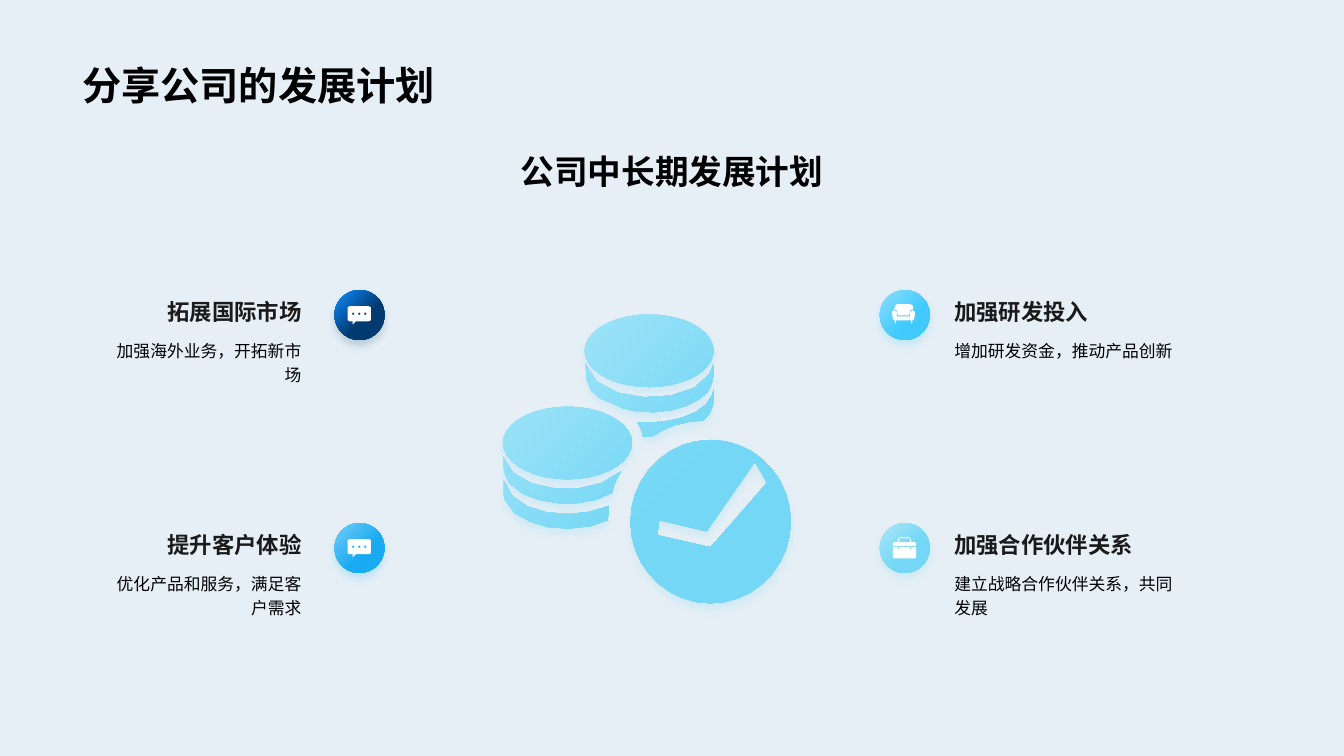
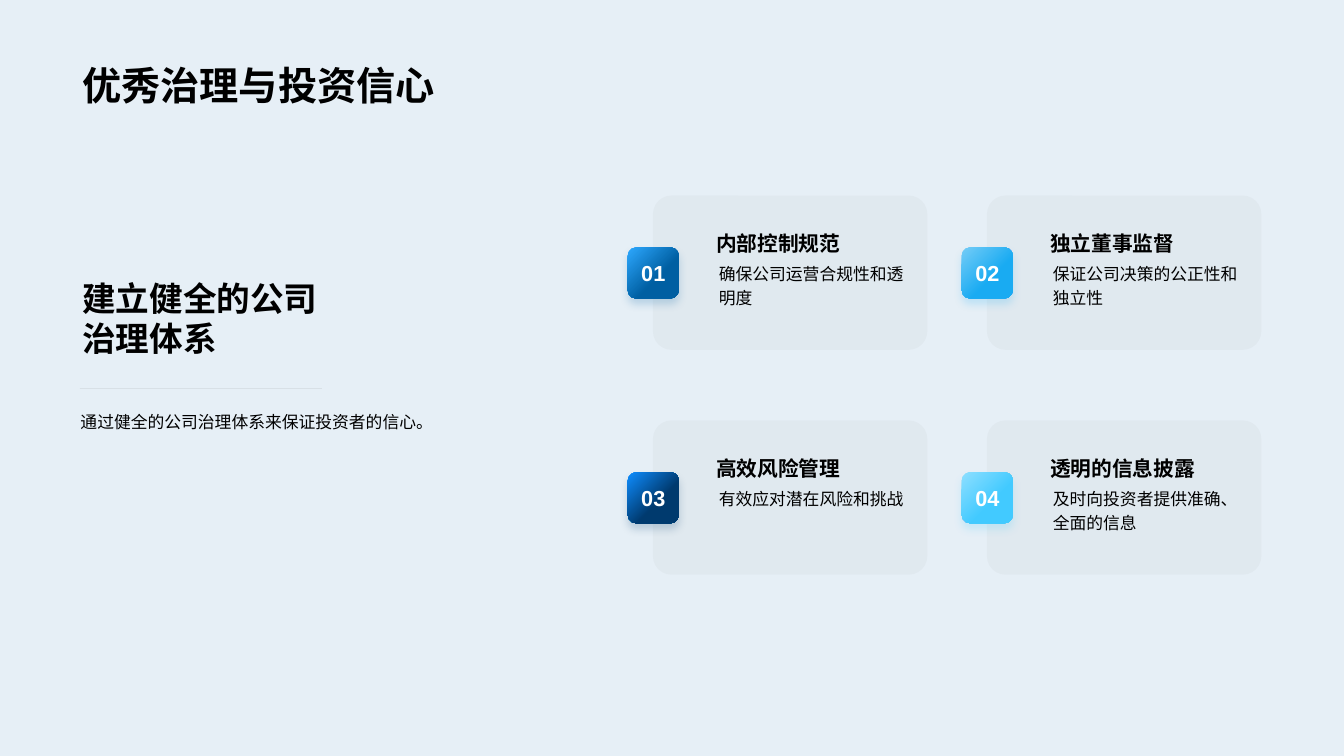
from lxml import etree
from math import cos, pi, sin
from pptx import Presentation
from pptx.dml.color import RGBColor
from pptx.enum.shapes import MSO_CONNECTOR, MSO_SHAPE
from pptx.enum.text import MSO_ANCHOR, PP_ALIGN
from pptx.oxml.ns import qn
from pptx.util import Pt

LEFT, CENTER, RIGHT = PP_ALIGN.LEFT, PP_ALIGN.CENTER, PP_ALIGN.RIGHT
MIDDLE, BOTTOM, TOP = MSO_ANCHOR.MIDDLE, MSO_ANCHOR.BOTTOM, MSO_ANCHOR.TOP
OVAL, ROUNDED = MSO_SHAPE.OVAL, MSO_SHAPE.ROUNDED_RECTANGLE
STRAIGHT = MSO_CONNECTOR.STRAIGHT

PALE = RGBColor(0xE6, 0xEF, 0xF6)
BLACK = RGBColor(0x00, 0x00, 0x00)
CHARCOAL = RGBColor(0x1A, 0x1A, 0x1A)
GRAY = RGBColor(0x80, 0x80, 0x80)
WHITE = RGBColor(0xFF, 0xFF, 0xFF)
BLUE = RGBColor(0x2E, 0xA9, 0xFF), RGBColor(0x00, 0x5F, 0xA2)
SKY = RGBColor(0x75, 0xCD, 0xF7), RGBColor(0x19, 0xAB, 0xF2)
NAVY = RGBColor(0x0F, 0x8E, 0xFF), RGBColor(0x00, 0x3A, 0x6E)
CYAN = RGBColor(0x8E, 0xDF, 0xFF), RGBColor(0x42, 0xCA, 0xFF)
AQUA = RGBColor(0xAB, 0xE7, 0xF9), RGBColor(0x73, 0xD7, 0xF5)

TITLE = {"size": Pt(28), "bold": True, "color": BLACK}
HEADLINE = {**TITLE, "size": Pt(24)}
POINT_LABEL = {"size": Pt(16), "bold": True, "color": CHARCOAL}
CARD_LABEL = {"size": Pt(14.8), "bold": True, "color": BLACK}
BADGE = {"size": Pt(15.5), "bold": True, "color": WHITE}
BODY = {"size": Pt(12), "bold": False, "color": BLACK}

GRID = 0.72

BUBBLE = [
    [(34, 16), (36, 17), (36, 30), (34, 31), (21, 31), (18, 34), (18, 31),
     (15, 31), (13, 30), (13, 17), (15, 16)],
    [(18.5, 23.5, 1.3, 1.3)],
    [(24.5, 23.5, 1.3, 1.3)],
    [(30.5, 23.5, 1.3, 1.3)],
]
SOFA = [
    [(33, 20), (35, 22), (34, 29), (33, 30), (32, 30), (32, 33), (31, 33),
     (31, 30), (16, 30), (16, 33), (15, 33), (15, 30), (14, 30), (13, 29),
     (12, 22), (12, 21, 13, 20, 14, 20), (15, 20, 16, 21, 17, 22), (17, 26),
     (30, 26), (30, 22), (31, 21, 32, 20, 33, 20)],
    [(30, 14), (32, 14, 33, 15, 33, 17), (33, 19), (31, 19, 30, 20, 30, 21),
     (29, 25), (18, 25), (17, 21), (17, 20, 16, 19, 14, 19), (15, 17),
     (15, 15, 16, 14, 17, 14)],
]
BRIEFCASE = [
    [(18, 24), (18, 26), (19, 26), (19, 24), (30, 24), (30, 26), (31, 26),
     (31, 24), (36, 24), (36, 34), (35, 35), (14, 35), (13, 34), (13, 24)],
    [(29, 14), (31, 16), (31, 19), (35, 19), (36, 20), (36, 23), (13, 23),
     (13, 20), (14, 19), (18, 19), (18, 16), (20, 14)],
    [(29, 15), (20, 15), (19, 16), (19, 19), (30, 19), (30, 16)],
]
COINS = [
    [(644, 348, 64, 36)],
    [(595, 395), (607, 400), (618, 405),
     (631, 410, 651, 410, 666, 407), (681, 404, 695, 397, 702, 389),
     (707, 382, 709, 372, 708, 361), (704, 371),
     (685, 404, 591, 403, 581, 361), (580, 378, 585, 390, 595, 395)],
    [(632, 419), (635, 423, 637, 427, 638, 433), (648, 435, 652, 430, 657, 427),
     (669, 421, 681, 418, 698, 417), (706, 411, 710, 400, 708, 386),
     (707, 391), (699, 413, 662, 421, 632, 419)],
    [(563, 439.5, 64, 36)],
    [(614, 469), (587, 494, 510, 491, 499, 453), (499, 465, 501, 474, 506, 480),
     (525, 502, 580, 506, 607, 489), (609, 481, 612, 474, 616, 468)],
    [(705, 517.5, 79.5, 81)],
    [(705, 543), (652, 531), (654, 516), (701, 527), (749, 458), (761, 479)],
    [(500, 477), (500, 483, 499, 491, 501, 496), (506, 511, 526, 519, 544, 523),
     (564, 526, 588, 524, 603, 516), (604, 502), (570, 517, 509, 512, 500, 477)],
]


def write(page, area, text, style, anchor=TOP, align=LEFT, spacing=1.0, box=None):
    box = box or page.shapes.add_textbox(*map(Pt, area))
    frame = box.text_frame
    frame.word_wrap = True
    frame.vertical_anchor = anchor
    para = frame.paragraphs[0]
    para.alignment = align
    para.line_spacing = spacing
    span = para.add_run()
    span.text = text
    span.font.name = "Arial"
    for name, value in style.items():
        if name == "color":
            span.font.color.rgb = value
        else:
            setattr(span.font, name, value)


def outline(page, left, top, contours):
    builder = None
    for contour in contours:
        points = []
        for step in contour:
            if len(step) == 2:
                points.append(step)
            elif len(step) == 4:
                cx, cy, rx, ry = step
                count = 36 if rx > 10 else 6
                angles = [2 * pi * i / count for i in range(count)]
                points += [(cx + rx * cos(a), cy + ry * sin(a)) for a in angles]
            else:
                controls = [points[-1], step[:2], step[2:4], step[4:]]
                reach = max(abs(step[4] - points[-1][0]), abs(step[5] - points[-1][1]))
                count = 6 if reach > 60 else 3 if reach > 12 else 2
                for i in range(1, count + 1):
                    t = i / count
                    weights = ((1 - t) ** 3, 3 * t * (1 - t) ** 2, 3 * t * t * (1 - t), t ** 3)
                    points.append(tuple(
                        sum(w * c[axis] for w, c in zip(weights, controls)) for axis in (0, 1)))
        points = [(Pt(left + x * GRID), Pt(top + y * GRID)) for x, y in points]
        if builder is None:
            builder = page.shapes.build_freeform(*points[0])
        else:
            builder.move_to(*points[0])
        builder.add_line_segments(points[1:], close=True)
    shape = builder.convert_to_shape()
    shape.shadow.inherit = False
    shape.line.fill.background()
    return shape


deck = Presentation()
deck.slide_width, deck.slide_height = Pt(960), Pt(540)
background = deck.slide_master.background.fill
background.solid()
background.fore_color.rgb = PALE

pages = []
for title in ("分享公司的发展计划", "优秀治理与投资信心"):
    page = deck.slides.add_slide(deck.slide_layouts[6])
    write(page, (51.8, 0, 855.4, 80.6), title, TITLE, BOTTOM)
    pages.append(page)
plan, governance = pages
glowing = []
faded = []

write(plan, (115.2, 95.8, 729.4, 44.6), "公司中长期发展计划", HEADLINE, BOTTOM, CENTER)
glowing.append((outline(plan, 0, 0, COINS), AQUA))

COLUMNS = [(239, 68.4, 154, RIGHT), (628.5, 674.6, 178, LEFT)]
ROWS = [207.2, 373.6]
POINTS = [
    ("拓展国际市场", "加强海外业务，开拓新市场", NAVY, BUBBLE),
    ("加强研发投入", "增加研发资金，推动产品创新", CYAN, SOFA),
    ("提升客户体验", "优化产品和服务，满足客户需求", SKY, BUBBLE),
    ("加强合作伙伴关系", "建立战略合作伙伴关系，共同发展", AQUA, BRIEFCASE),
]
for index, (label, body, theme, icon) in enumerate(POINTS):
    top = ROWS[index // 2]
    disc_left, text_left, width, align = COLUMNS[index % 2]
    disc = plan.shapes.add_shape(OVAL, Pt(disc_left), Pt(top), Pt(35.6), Pt(35.6))
    glowing.append((disc, theme))
    drawing = outline(plan, disc_left, top, icon)
    drawing.fill.solid()
    drawing.fill.fore_color.rgb = WHITE
    write(plan, (text_left, top, width, 28.8), label, POINT_LABEL, BOTTOM, align)
    write(plan, (text_left, top + 29.5, width, 41), body, BODY, TOP, align, 1.2)

CARDS = [
    ("内部控制规范", "确保公司运营合规性和透明度", BLUE),
    ("独立董事监督", "保证公司决策的公正性和独立性", SKY),
    ("高效风险管理", "有效应对潜在风险和挑战", NAVY),
    ("透明的信息披露", "及时向投资者提供准确、全面的信息", CYAN),
]
for index, (label, body, theme) in enumerate(CARDS):
    left = 466.4 + index % 2 * 238.6
    top = 139.7 + index // 2 * 160.6
    card = governance.shapes.add_shape(ROUNDED, Pt(left), Pt(top), Pt(196), Pt(110.2))
    card.adjustments[0] = 0.12
    card.shadow.inherit = False
    card.fill.solid()
    card.fill.fore_color.rgb = GRAY
    card.line.fill.background()
    faded.append((card, 5))
    write(governance, (left + 38.2, top + 22.3, 155.5, 24.5), label, CARD_LABEL, BOTTOM, spacing=0.9)
    write(governance, (left + 40, top + 42.5, 155.5, 40.3), body, BODY, spacing=1.2)
    badge = governance.shapes.add_shape(ROUNDED, Pt(left - 18), Pt(top + 37), Pt(36.5), Pt(36.5))
    glowing.append((badge, theme))
    write(governance, None, f"{index + 1:02}", BADGE, MIDDLE, CENTER, box=badge)

write(governance, (51.8, 194.4, 205.9, 65.5), "建立健全的公司治理体系", HEADLINE, MIDDLE)
rule = governance.shapes.add_connector(STRAIGHT, Pt(57), Pt(277.6), Pt(230), Pt(277.6))
rule.line.color.rgb = GRAY
rule.line.width = Pt(0.5)
etree.SubElement(rule.element.spPr, qn("a:effectLst"))
faded.append((rule, 20))
write(governance, (50.4, 288, 325.4, 23), "通过健全的公司治理体系来保证投资者的信心。", BODY, spacing=1.2)

for shape, percent in faded:
    for color in shape.element.spPr.iter(qn("a:srgbClr")):
        etree.SubElement(color, qn("a:alpha"), val=str(percent * 1000))

for shape, theme in glowing:
    shape.line.fill.background()
    shape.fill.gradient()
    shape.fill.gradient_angle = 315
    for stop, color, position in zip(shape.fill.gradient_stops, theme, (0, 0.6)):
        stop.color.rgb = color
        stop.position = position
    shape.shadow.inherit = False
    effects = shape.element.spPr.find(qn("a:effectLst"))
    glow = etree.SubElement(effects, qn("a:outerShdw"), blurRad=str(Pt(6)), dist=str(Pt(4)),
                            dir="5400000", algn="t", rotWithShape="0")
    tint = etree.SubElement(glow, qn("a:srgbClr"), val=str(theme[1]))
    etree.SubElement(tint, qn("a:alpha"), val="20000")

deck.save("out.pptx")
